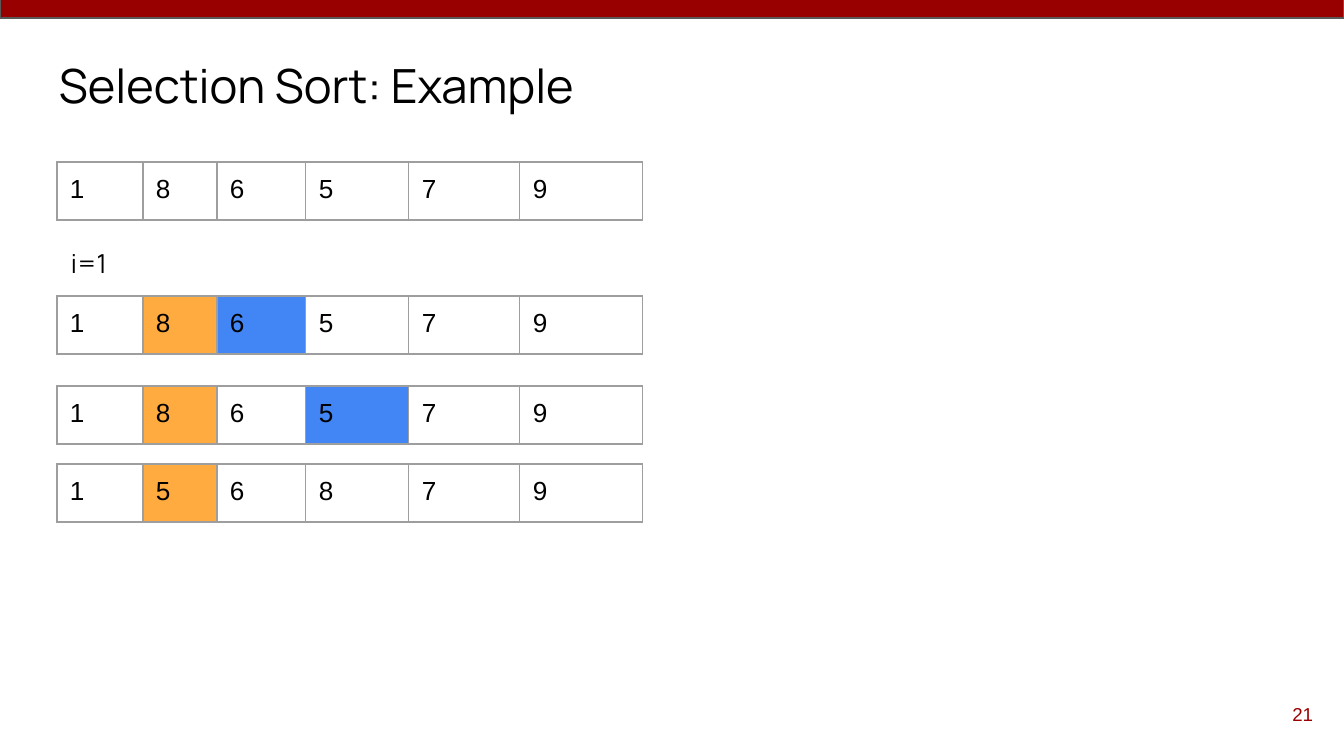
from lxml.etree import SubElement
from pptx import Presentation
from pptx.dml.color import RGBColor
from pptx.enum.shapes import MSO_SHAPE
from pptx.enum.text import MSO_ANCHOR, PP_ALIGN
from pptx.oxml.ns import qn
from pptx.util import Emu, Pt

# Content: each array state has its top, values and highlighted cells
TITLE = "Selection Sort: Example"
STEP_LABEL = "i=1"
PAGE_NUMBER = "21"
ARRAYS = [
    (162, [1, 8, 6, 5, 7, 9], {}),
    (296, [1, 8, 6, 5, 7, 9], {1: "current", 2: "minimum"}),
    (386, [1, 8, 6, 5, 7, 9], {1: "current", 3: "minimum"}),
    (464, [1, 5, 6, 8, 7, 9], {1: "current"}),
]

COLORS = {
    "bar": "980000", "bar_line": "595959", "text": "000000", "border": "9E9E9E",
    "plain": "FFFFFF", "current": "FFAB40", "minimum": "4285F4",
}
ARRAY_LEFT = 57
ROW_HEIGHT = 58
FRAME_SIZE = 441
COLUMN_WIDTHS = [86, 74, 89, 103, 111, 123]
WHITE_COLUMNS = (0, 1, 3)  # the other columns are clear unless highlighted
INSET = 13
EMU_PER_PX = 914400 / 134.4


def px(length):
    return Emu(round(length * EMU_PER_PX))


def color(name):
    return RGBColor.from_string(COLORS[name])


def write(frame, text, size=14, font="Arial", fill="text", align=PP_ALIGN.LEFT):
    paragraph = frame.paragraphs[0]
    paragraph.alignment = align
    run = paragraph.add_run()
    run.text = text
    run.font.size = Pt(size)
    run.font.name = font
    run.font.color.rgb = color(fill)


def add_text(slide, box, text, anchor=MSO_ANCHOR.TOP, **text_format):
    frame = slide.shapes.add_textbox(*map(px, box)).text_frame
    frame.word_wrap = True
    frame.vertical_anchor = anchor
    frame.margin_left = frame.margin_right = px(INSET)
    frame.margin_top = frame.margin_bottom = px(INSET)
    write(frame, text, **text_format)


def add_borders(cell):
    properties = cell._tc.get_or_add_tcPr()
    for position, side in enumerate(("lnL", "lnR", "lnT", "lnB")):
        line = SubElement(properties, qn(f"a:{side}"), w=str(Pt(0.75)))
        fill = SubElement(line, qn("a:solidFill"))
        SubElement(fill, qn("a:srgbClr"), val=COLORS["border"])
        properties.insert(position, line)  # borders precede the cell fill


def add_array(slide, top, values, highlights):
    box = (ARRAY_LEFT, top, sum(COLUMN_WIDTHS), ROW_HEIGHT)
    shape = slide.shapes.add_table(1, len(values), *map(px, box))
    table = shape.table
    table.first_row = table.horz_banding = False
    for index, (value, width) in enumerate(zip(values, COLUMN_WIDTHS)):
        table.columns[index].width = px(width)
        cell = table.cell(0, index)
        cell.margin_left = cell.margin_right = px(INSET)
        cell.margin_top = cell.margin_bottom = px(INSET)
        if index in highlights or index in WHITE_COLUMNS:
            cell.fill.solid()
            cell.fill.fore_color.rgb = color(highlights.get(index, "plain"))
        else:
            cell.fill.background()
        add_borders(cell)
        write(cell.text_frame, str(value))
    # The frame is square; the grid keeps its own row and column sizes
    shape.width = shape.height = px(FRAME_SIZE)


presentation = Presentation()
presentation.slide_width = px(1344)
presentation.slide_height = px(756)
slide = presentation.slides.add_slide(presentation.slide_layouts[6])

# Top bar
bar = slide.shapes.add_shape(MSO_SHAPE.RECTANGLE, *map(px, (0, -1, 1344, 19)))
bar.shadow.inherit = False
bar.fill.solid()
bar.fill.fore_color.rgb = color("bar")
bar.line.color.rgb = color("bar_line")
bar.line.width = Pt(0.75)

# Title, page number and step label
add_text(slide, (46, 43, 1252, 85), TITLE, size=25.2, font="Manrope")
add_text(slide, (1246, 685, 80, 58), PAGE_NUMBER, anchor=MSO_ANCHOR.MIDDLE,
         size=10, fill="bar", align=PP_ALIGN.RIGHT)
add_text(slide, (58, 234, 89, 59), STEP_LABEL, font="Manrope")

# Array states
for top, values, highlights in ARRAYS:
    add_array(slide, top, values, highlights)

presentation.save("out.pptx")
